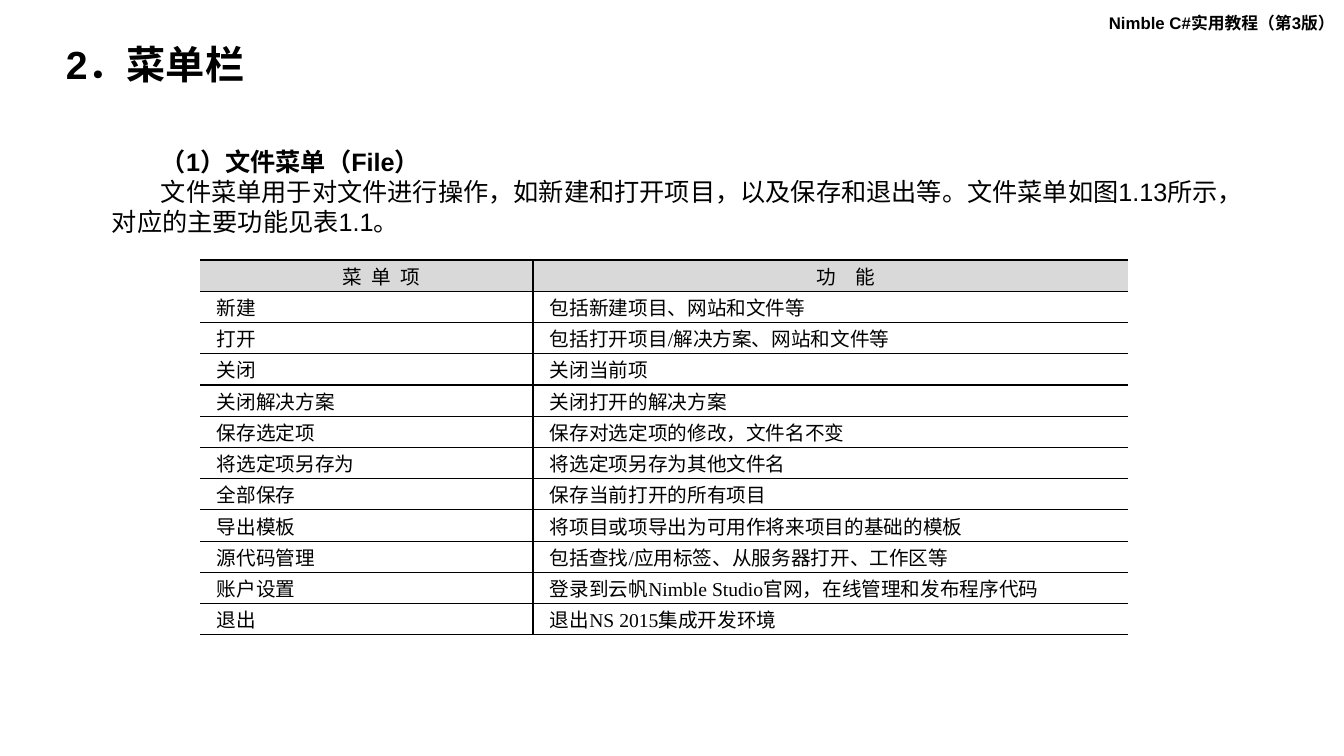
from lxml.etree import SubElement
from pptx import Presentation
from pptx.dml.color import RGBColor
from pptx.enum.text import MSO_ANCHOR, MSO_AUTO_SIZE, PP_ALIGN
from pptx.oxml.ns import qn
from pptx.util import Pt

PX = 914400 / 100.8
BLACK = "000000"


def px(length):
    return round(length * PX)


def write(paragraph, text, size, font="Arial", bold=False, indent=0):
    paragraph._p.get_or_add_pPr().set("indent", str(px(indent)))
    run = paragraph.add_run()
    run.text = text
    run.font.size = Pt(size)
    run.font.name = font
    run.font.bold = bold
    run.font.color.rgb = RGBColor.from_string(BLACK)
    return run


prs = Presentation()
prs.slide_width, prs.slide_height = px(1344), px(756)
slide = prs.slides.add_slide(prs.slide_layouts[6])

text_blocks = [
    ((1099, 8, 246, 30), MSO_ANCHOR.TOP, 1.0,
     [("Nimble C#实用教程（第3版）", 12, True, 0)]),
    ((56, 41, 490, 52), MSO_ANCHOR.MIDDLE, 0.9,
     [("2．菜单栏", 28, True, 0)]),
    ((102, 141, 1145, 102), MSO_ANCHOR.TOP, 1.0,
     [("（1）文件菜单（File）", 18, True, 49),
      ("文件菜单用于对文件进行操作，如新建和打开项目，以及保存和退出等。"
       "文件菜单如图1.13所示，对应的主要功能见表1.1。", 18, False, 49)]),
]
for bounds, anchor, line_spacing, lines in text_blocks:
    frame = slide.shapes.add_textbox(*map(px, bounds)).text_frame
    frame.word_wrap = True
    frame.auto_size = MSO_AUTO_SIZE.NONE
    frame.vertical_anchor = anchor
    for index, (text, size, bold, indent) in enumerate(lines):
        paragraph = frame.add_paragraph() if index else frame.paragraphs[0]
        paragraph.line_spacing = line_spacing
        write(paragraph, text, size, bold=bold, indent=indent)

menu_rows = [
    ("菜 单 项", "功 能"),
    ("新建", "包括新建项目、网站和文件等"),
    ("打开", "包括打开项目/解决方案、网站和文件等"),
    ("关闭", "关闭当前项"),
    ("关闭解决方案", "关闭打开的解决方案"),
    ("保存选定项", "保存对选定项的修改，文件名不变"),
    ("将选定项另存为", "将选定项另存为其他文件名"),
    ("全部保存", "保存当前打开的所有项目"),
    ("导出模板", "将项目或项导出为可用作将来项目的基础的模板"),
    ("源代码管理", "包括查找/应用标签、从服务器打开、工作区等"),
    ("账户设置", "登录到云帆Nimble Studio官网，在线管理和发布程序代码"),
    ("退出", "退出NS 2015集成开发环境"),
]
header_spacing = (175, 525)
column_widths = (333, 595)
table_height = 375
row_count = len(menu_rows)

menu_table = slide.shapes.add_table(
    row_count, 2, px(200), px(260), px(sum(column_widths)), px(table_height)).table
menu_table.first_row = False
menu_table.horz_banding = False
for column, width in zip(menu_table.columns, column_widths):
    column.width = px(width)

for r, row_texts in enumerate(menu_rows):
    menu_table.rows[r].height = px(table_height / row_count)
    for c, text in enumerate(row_texts):
        cell = menu_table.cell(r, c)
        cell.margin_left = cell.margin_right = px(7)
        cell.margin_top = cell.margin_bottom = 0
        cell.vertical_anchor = MSO_ANCHOR.MIDDLE

        hidden_side = "lnR" if c else "lnL"
        for side in ("lnL", "lnR", "lnT", "lnB"):
            border = SubElement(cell._tc.get_or_add_tcPr(), qn(f"a:{side}"), w=str(Pt(1)))
            if side == hidden_side:
                SubElement(border, qn("a:noFill"))
            else:
                SubElement(SubElement(border, qn("a:solidFill")), qn("a:srgbClr"), val=BLACK)

        paragraph = cell.text_frame.paragraphs[0]
        run = write(paragraph, text, 14, "Times New Roman", indent=10 if r else 30)
        if r:
            cell.fill.background()
            paragraph.alignment = PP_ALIGN.JUSTIFY
        else:
            cell.fill.solid()
            cell.fill.fore_color.rgb = RGBColor.from_string("D9D9D9")
            paragraph.alignment = PP_ALIGN.CENTER
            run.font._element.set("spc", str(header_spacing[c]))

prs.save("out.pptx")
